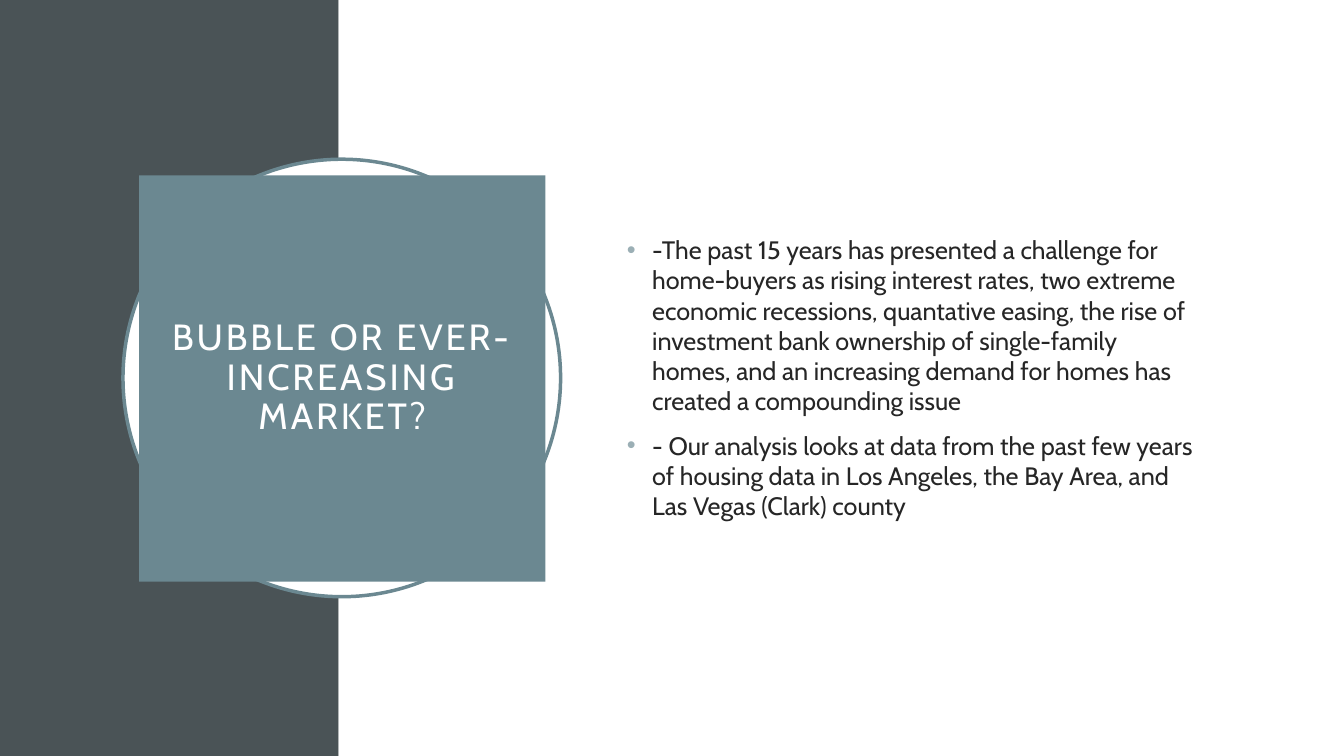
from lxml import etree
from pptx import Presentation
from pptx.dml.color import RGBColor
from pptx.enum.shapes import MSO_SHAPE
from pptx.enum.text import MSO_ANCHOR, PP_ALIGN
from pptx.oxml.ns import qn
from pptx.util import Inches, Pt

RECTANGLE, OVAL = MSO_SHAPE.RECTANGLE, MSO_SHAPE.OVAL
MIDDLE = MSO_ANCHOR.MIDDLE
CENTER, LEFT = PP_ALIGN.CENTER, PP_ALIGN.LEFT

WHITE = RGBColor(0xFF, 0xFF, 0xFF)
SLATE = RGBColor(0x4A, 0x53, 0x56)
TEAL = RGBColor(0x6B, 0x88, 0x91)
INK = RGBColor(0x26, 0x26, 0x26)
BULLET = RGBColor(0x9B, 0xAF, 0xB5)

WIDTH, HEIGHT = 13.33, 7.5
SIDEBAR_WIDTH = 3.36
TITLE = "BUBBLE OR EVER-INCREASING MARKET?"
POINTS = (
    "-The past 15 years has presented a challenge for home-buyers as rising "
    "interest rates, two extreme economic recessions, quantative easing, the "
    "rise of investment bank ownership of single-family homes, and an "
    "increasing demand for homes has created a compounding issue",
    "- Our analysis looks at data from the past few years of housing data in "
    "Los Angeles, the Bay Area, and Las Vegas (Clark) county",
)


def set_all(target, values):
    for name, value in values.items():
        setattr(target, name, value)


class SlideWriter:
    font = "Cabin"

    def __init__(self, page):
        self.page = page

    def shape(self, kind, left, top, width, height, fill, line=None):
        shape = self.page.shapes.add_shape(
            kind, *map(Inches, (left, top, width, height)))
        shape.shadow.inherit = False
        shape.fill.solid()
        shape.fill.fore_color.rgb = fill
        if line is None:
            shape.line.fill.background()
        else:
            shape.line.color.rgb = line
            shape.line.width = Pt(2.5)
        return shape

    def span(self, para, text, size, color):
        span = para.add_run()
        span.text = text
        set_all(span.font, {"name": self.font, "size": Pt(size)})
        span.font.color.rgb = color
        return span

    def title(self, shape, text):
        frame = shape.text_frame
        inset = Inches(0.2)
        set_all(frame, {
            "word_wrap": True, "vertical_anchor": MIDDLE,
            "margin_left": inset, "margin_right": inset,
            "margin_top": inset, "margin_bottom": inset})
        para = frame.paragraphs[0]
        set_all(para, {"alignment": CENTER, "line_spacing": 0.9})
        span = self.span(para, text, 26, WHITE)
        span.font._element.set("spc", "200")

    def bullet(self, para):
        """Give the paragraph a coloured dot and a hanging indent."""
        props = para._p.get_or_add_pPr()
        indent = Inches(0.25)
        props.set("marL", str(indent))
        props.set("indent", str(-indent))
        color = etree.SubElement(props, qn("a:buClr"))
        etree.SubElement(color, qn("a:srgbClr")).set("val", str(BULLET))
        etree.SubElement(props, qn("a:buFont")).set("typeface", "Arial")
        etree.SubElement(props, qn("a:buChar")).set("char", "•")

    def bullet_list(self, left, top, width, height, points):
        box = self.page.shapes.add_textbox(
            *map(Inches, (left, top, width, height)))
        frame = box.text_frame
        set_all(frame, {"word_wrap": True, "vertical_anchor": MIDDLE})
        for index, text in enumerate(points):
            para = frame.add_paragraph() if index else frame.paragraphs[0]
            set_all(para, {"alignment": LEFT, "space_before": Pt(10)})
            self.bullet(para)
            self.span(para, text, 18, INK)


def main():
    deck = Presentation()
    set_all(deck, {"slide_width": Inches(WIDTH),
                   "slide_height": Inches(HEIGHT)})
    writer = SlideWriter(deck.slides.add_slide(deck.slide_layouts[6]))
    writer.shape(RECTANGLE, 0, 0, SIDEBAR_WIDTH, HEIGHT, SLATE)
    writer.shape(RECTANGLE, SIDEBAR_WIDTH, 0, WIDTH - SIDEBAR_WIDTH, HEIGHT,
                 WHITE)
    writer.shape(OVAL, 1.22, 1.58, 4.34, 4.34, WHITE, TEAL)
    title_panel = writer.shape(RECTANGLE, 1.38, 1.74, 4.03, 4.03, TEAL)
    writer.title(title_panel, TITLE)
    writer.bullet_list(6.12, 1.53, 5.82, 4.43, POINTS)
    deck.save("out.pptx")


if __name__ == "__main__":
    main()
